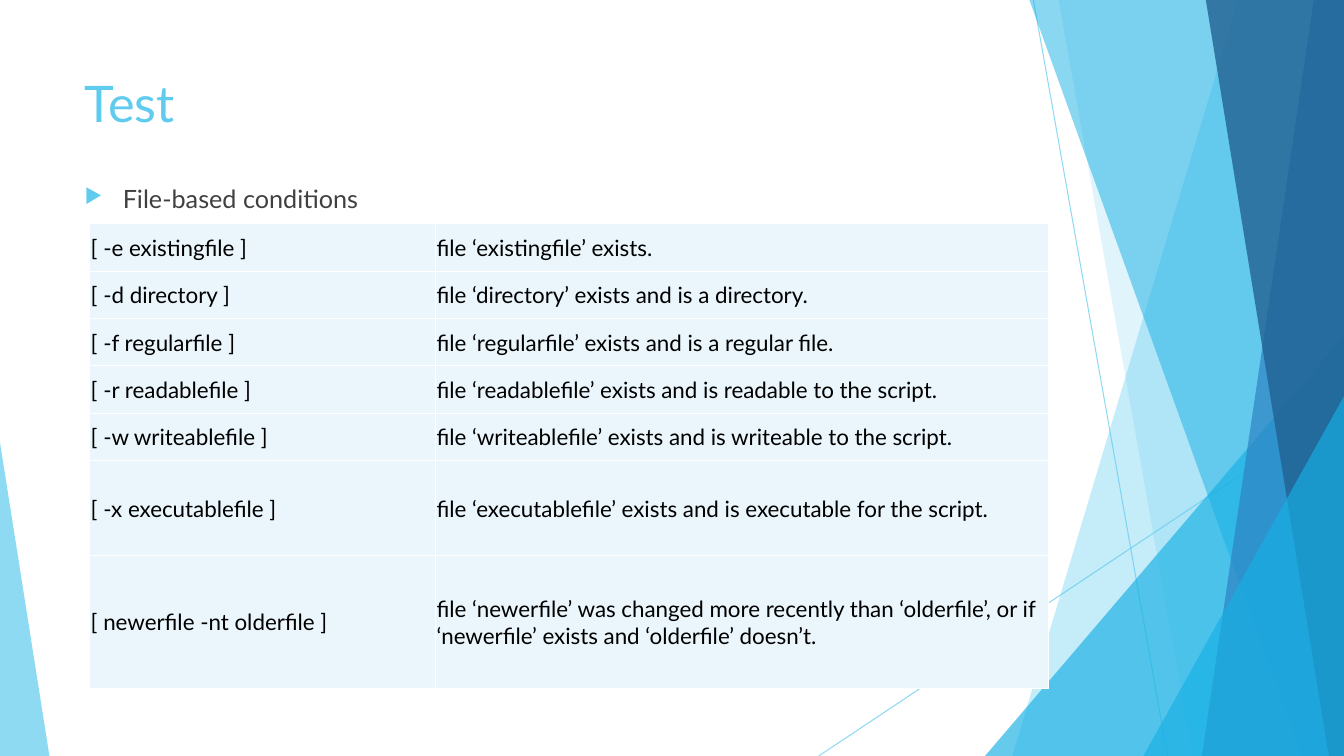
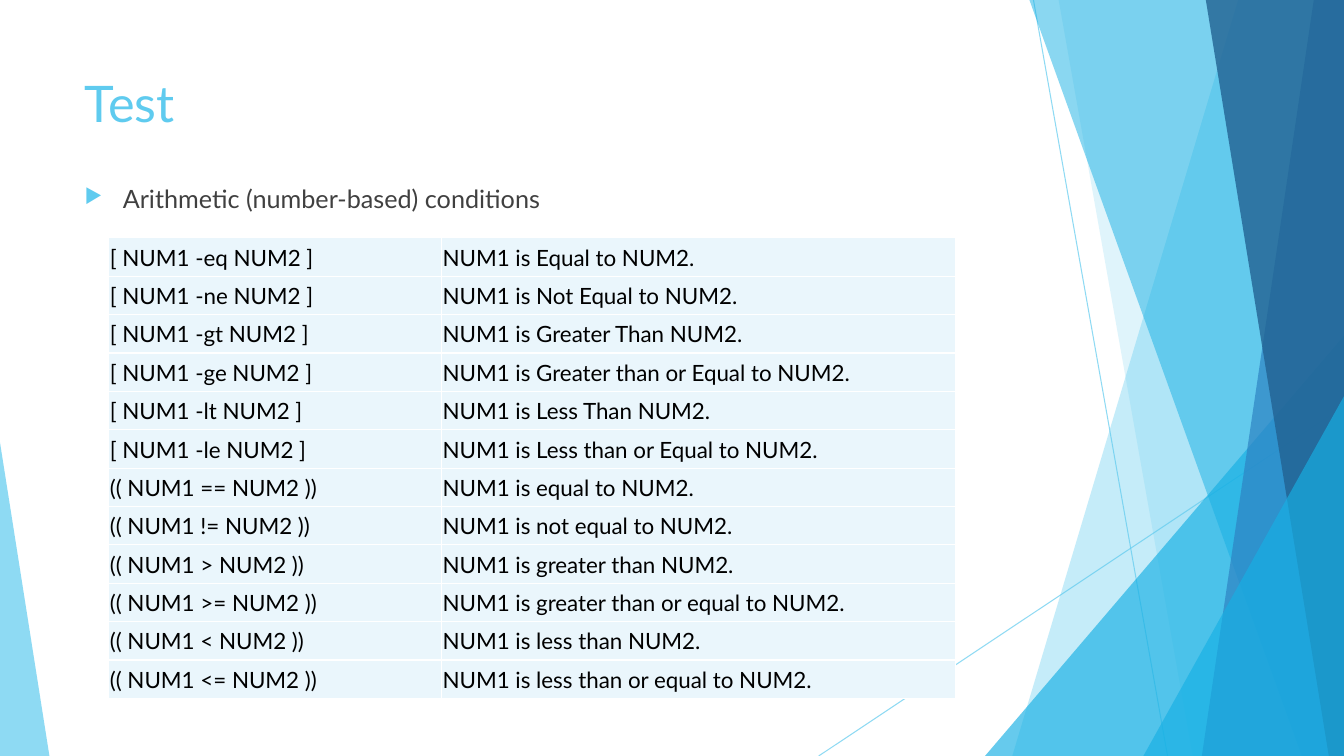
"""Build two slides that list shell test conditions in tables."""
from lxml import etree
from pptx import Presentation
from pptx.dml.color import RGBColor
from pptx.enum.shapes import MSO_CONNECTOR, MSO_SHAPE
from pptx.enum.text import MSO_ANCHOR
from pptx.oxml.ns import qn
from pptx.util import Inches, Pt

STRAIGHT = MSO_CONNECTOR.STRAIGHT
TRIANGLE = MSO_SHAPE.ISOSCELES_TRIANGLE
TOP, MIDDLE = MSO_ANCHOR.TOP, MSO_ANCHOR.MIDDLE

W, H = 13.33, 7.5
FONT = "Lato"
SKY, CYAN, BLUE, NAVY = "5FCBEF", "17B0E4", "2E83C3", "226292"
GREY, BLACK, WHITE, PALE = "404040", "000000", "FFFFFF", "EAF6FC"

RAYS = [(10.25, 0, 11.58, H), (W, 4.03, 8.12, H)]
# FACETS_PLACEHOLDER
FACETS = [
    ("band", (12.28, 10.04), SKY, 36),
    ("band", (10.5, 11.83), SKY, 20),
    ("triangle", (9.77, 3.33, 3.56, 1), CYAN, 66),
    ("band", (10.21, 12.91), CYAN, 50),
    ("band", (13.03, 11.92), BLUE, 70),
    ("band", (11.96, 13.18), NAVY, 80),
    ("triangle", (11.34, 3.93, 1.99, 1), CYAN, 66),
    ("triangle", (0, 4.39, 0.49, 0), SKY, 70),
]

SLIDES = [
    {
        "topic": "File-based conditions",
        "at": (0.89, 2.22),
        "cols": [3.43, 6.08],
        "heights": [0.47] * 5 + [0.94, 1.32],
        "rows": [
            ("[ -e existingfile ]", "file ‘existingfile’ exists."),
            ("[ -d directory ]", "file ‘directory’ exists and is a directory."),
            ("[ -f regularfile ]", "file ‘regularfile’ exists and is a regular file."),
            ("[ -r readablefile ]", "file ‘readablefile’ exists and is readable to the script."),
            ("[ -w writeablefile ]", "file ‘writeablefile’ exists and is writeable to the script."),
            ("[ -x executablefile ]", "file ‘executablefile’ exists and is executable for the script."),
            ("[ newerfile -nt olderfile ]",
             "file ‘newerfile’ was changed more recently than ‘olderfile’, "
             "or if ‘newerfile’ exists and ‘olderfile’ doesn’t."),
        ],
    },
    {
        "topic": "Arithmetic (number-based) conditions",
        "at": (1.08, 2.36),
        "cols": [3.3, 5.1],
        "heights": [4.57 / 12] * 12,
        "rows": [
            ("[ NUM1 -eq NUM2 ]", "NUM1 is Equal to NUM2."),
            ("[ NUM1 -ne NUM2 ]", "NUM1 is Not Equal to NUM2."),
            ("[ NUM1 -gt NUM2 ]", "NUM1 is Greater Than NUM2."),
            ("[ NUM1 -ge NUM2 ]", "NUM1 is Greater than or Equal to NUM2."),
            ("[ NUM1 -lt NUM2 ]", "NUM1 is Less Than NUM2."),
            ("[ NUM1 -le NUM2 ]", "NUM1 is Less than or Equal to NUM2."),
            ("(( NUM1 == NUM2 ))", "NUM1 is equal to NUM2."),
            ("(( NUM1 != NUM2 ))", "NUM1 is not equal to NUM2."),
            ("(( NUM1 > NUM2 ))", "NUM1 is greater than NUM2."),
            ("(( NUM1 >= NUM2 ))", "NUM1 is greater than or equal to NUM2."),
            ("(( NUM1 < NUM2 ))", "NUM1 is less than NUM2."),
            ("(( NUM1 <= NUM2 ))", "NUM1 is less than or equal to NUM2."),
        ],
    },
]


def paint(fill, color, alpha=100):
    fill.solid()
    fill.fore_color.rgb = RGBColor.from_string(color)
    if alpha < 100:
        clr = fill._xPr.find(qn("a:solidFill"))[0]
        etree.SubElement(clr, qn("a:alpha"), val=str(alpha * 1000))


def write(tf, text, size=16, color=BLACK, anchor=TOP, bullet=None):
    tf.word_wrap = True
    tf.vertical_anchor = anchor
    p = tf.paragraphs[0]
    r = p.add_run()
    r.text = text
    r.font.name = FONT
    r.font.size = Pt(size)
    paint(r.font.fill, color)
    if bullet:
        p.space_before = Pt(10)
        pPr = p._p.get_or_add_pPr()
        pPr.set("marL", str(Inches(0.38)))
        pPr.set("indent", str(-Inches(0.38)))
        bu_clr = etree.SubElement(pPr, qn("a:buClr"))
        etree.SubElement(bu_clr, qn("a:srgbClr"), val=SKY)
        etree.SubElement(pPr, qn("a:buSzPct"), val="80000")
        etree.SubElement(pPr, qn("a:buChar"), char=bullet)


prs = Presentation()
prs.slide_width, prs.slide_height = Inches(W), Inches(H)

for content in SLIDES:
    s = prs.slides.add_slide(prs.slide_layouts[6])
    paint(s.background.fill, WHITE)

    for ray in RAYS:
        line = s.shapes.add_connector(STRAIGHT, *[Inches(v) for v in ray])
        line.line.width = Pt(0.75)
        paint(line.line.fill, SKY, 70)
        etree.SubElement(line._element.spPr, qn("a:effectLst"))

    for kind, geometry, color, alpha in FACETS:
        if kind == "band":
            top_x, bottom_x = geometry
            outline = s.shapes.build_freeform(Inches(top_x), 0)
            corners = [(W, 0), (W, H), (bottom_x, H)]
            outline.add_line_segments([(Inches(x), Inches(y)) for x, y in corners])
            sp = outline.convert_to_shape()
        else:
            left, top, width, apex = geometry
            sp = s.shapes.add_shape(TRIANGLE, Inches(left), Inches(top),
                                    Inches(width), Inches(H - top))
            sp.adjustments[0] = apex
        sp.shadow.inherit = False
        sp.line.fill.background()
        paint(sp.fill, color, alpha)

    title = s.shapes.add_textbox(Inches(0.74), Inches(0.67), Inches(9.4), Inches(0.81))
    write(title.text_frame, "Test", size=36, color=SKY)
    body = s.shapes.add_textbox(Inches(0.74), Inches(1.77), Inches(9.4), Inches(5.52))
    write(body.text_frame, content["topic"], size=18, color=GREY, bullet="▶")

    rows, cols, heights = content["rows"], content["cols"], content["heights"]
    left, top = content["at"]
    table = s.shapes.add_table(len(rows), len(cols), Inches(left), Inches(top),
                               Inches(sum(cols)), Inches(sum(heights))).table
    table.first_row = table.horz_banding = False
    for column, width in zip(table.columns, cols):
        column.width = Inches(width)
    for row, height, texts in zip(table.rows, heights, rows):
        row.height = Inches(height)
        for cell, text in zip(row.cells, texts):
            cell.margin_left = cell.margin_top = cell.margin_right = Inches(0.01)
            cell.margin_bottom = 0
            cell.vertical_anchor = MIDDLE
            tcPr = cell._tc.get_or_add_tcPr()
            for side in ("lnL", "lnR", "lnT", "lnB"):
                ln = etree.SubElement(tcPr, qn(f"a:{side}"), w=str(Pt(1)))
                solid = etree.SubElement(ln, qn("a:solidFill"))
                etree.SubElement(solid, qn("a:srgbClr"), val=WHITE)
            paint(cell.fill, PALE)
            write(cell.text_frame, text)

prs.save("out.pptx")
